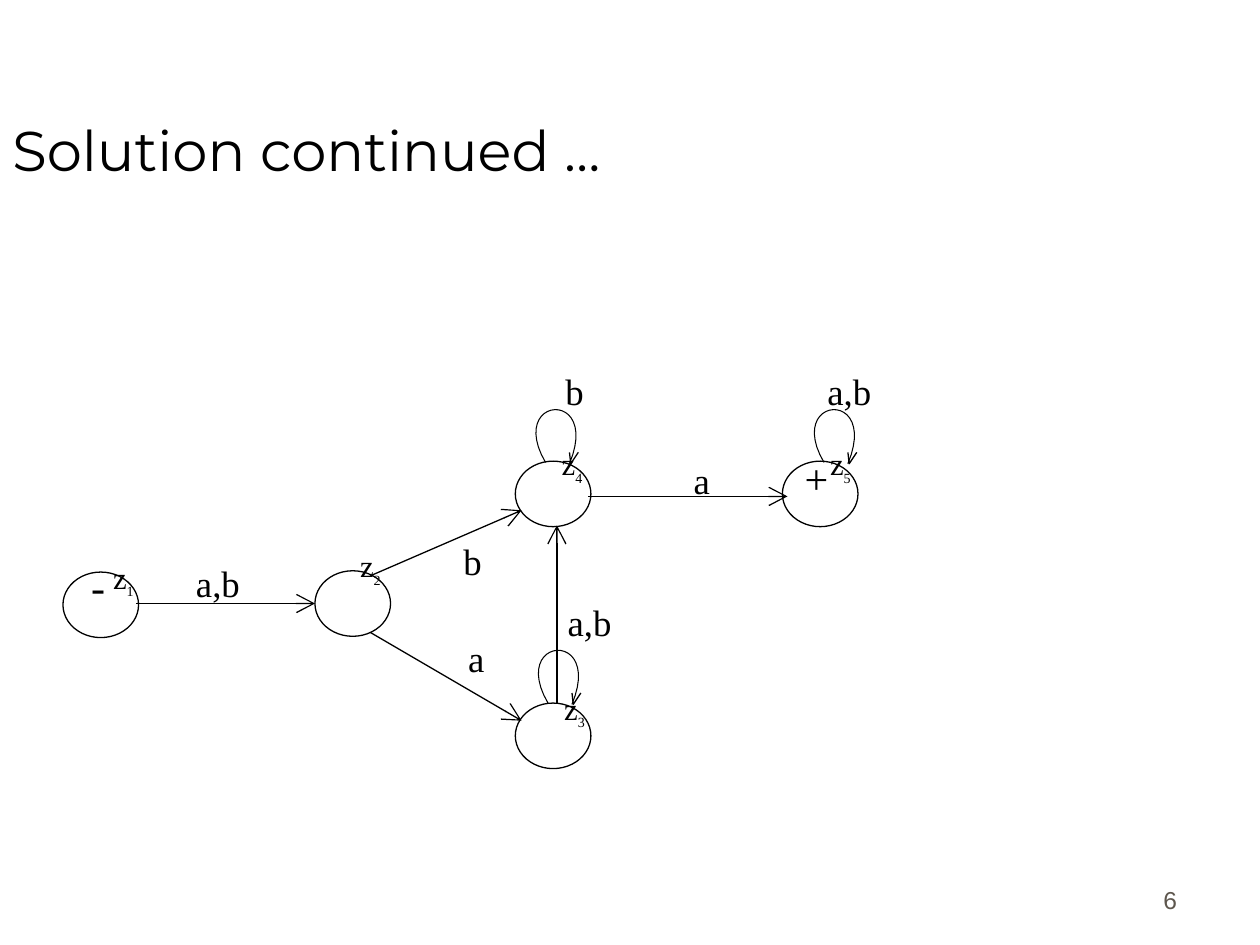
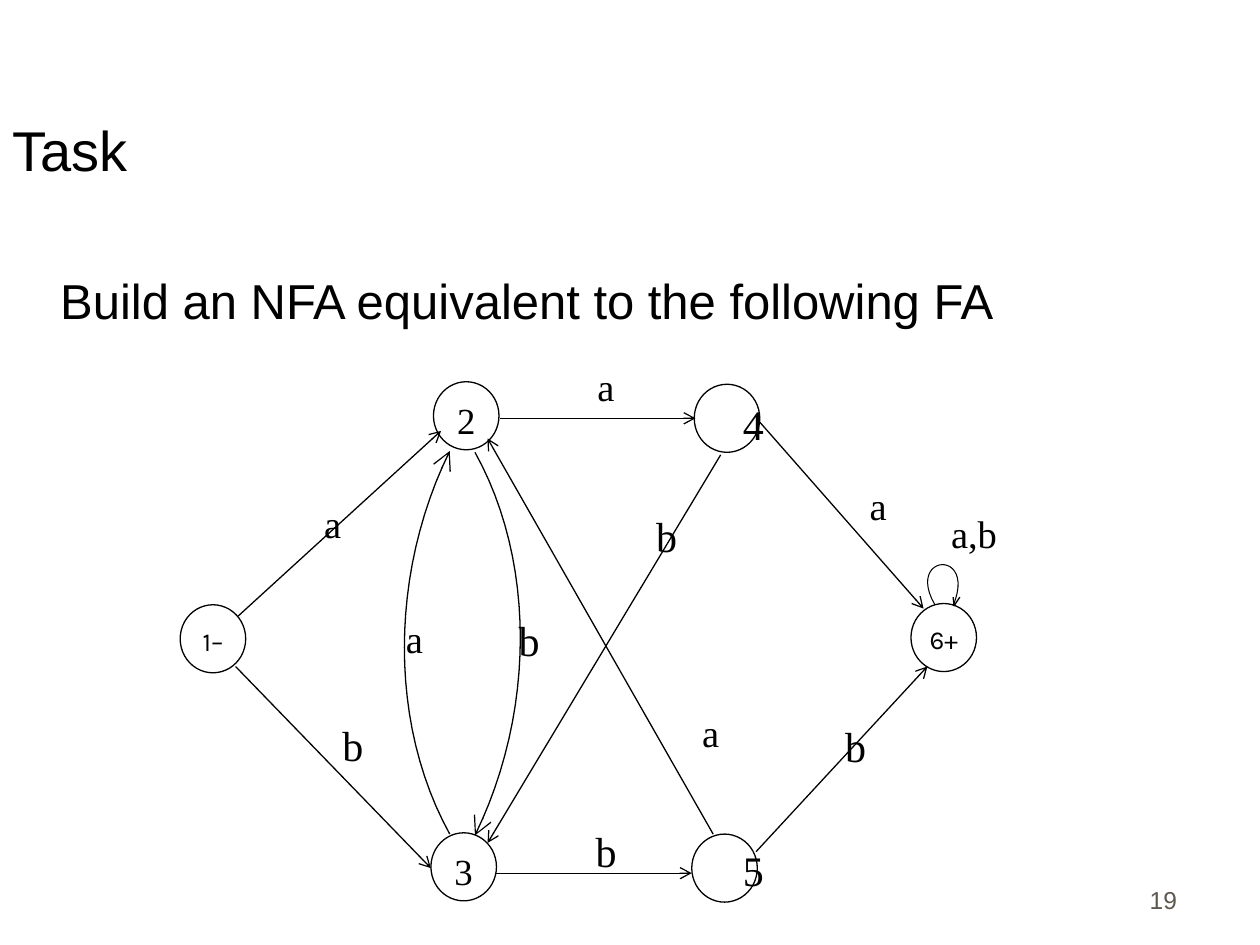
from lxml.etree import SubElement
from pptx import Presentation
from pptx.dml.color import RGBColor
from pptx.enum.shapes import MSO_CONNECTOR, MSO_SHAPE
from pptx.enum.text import MSO_ANCHOR, PP_ALIGN
from pptx.oxml.ns import qn
from pptx.util import Inches, Pt


def rgb(value):
    return RGBColor.from_string(value)


def bezier(start, control1, control2, end, steps=24):
    points = []
    for step in range(steps + 1):
        t = step / steps
        weights = ((1 - t) ** 3, 3 * t * (1 - t) ** 2, 3 * t**2 * (1 - t), t**3)
        points.append(tuple(
            sum(weight * value for weight, value in zip(weights, axis))
            for axis in zip(start, control1, control2, end)
        ))
    return points


class Deck:
    INK = "000000"
    PAPER = "FFFFFF"
    MUTED = "5E574E"
    SANS = "Arial"
    SERIF = "Times New Roman"

    def __init__(self):
        self.presentation = Presentation()
        self.presentation.slide_width = Inches(10)
        self.presentation.slide_height = Inches(7.5)
        self.slide = None

    def new_slide(self, title, number, title_font=SANS):
        self.slide = self.presentation.slides.add_slide(self.presentation.slide_layouts[6])
        self.slide.background.fill.solid()
        self.slide.background.fill.fore_color.rgb = rgb(self.PAPER)
        self.text(title, 0, 0.25, 8.5, 1.25, 32, title_font, anchor=MSO_ANCHOR.BOTTOM)
        self.text(number, 7.36, 6.81, 2.08, 0.5, 14, color=self.MUTED,
                  align=PP_ALIGN.RIGHT, anchor=MSO_ANCHOR.BOTTOM)

    def fill_text(self, frame, content, size, font, color, align, anchor):
        frame.word_wrap = True
        frame.vertical_anchor = anchor
        paragraph = frame.paragraphs[0]
        paragraph.text = content
        paragraph.alignment = align
        paragraph.font.size = Pt(size)
        paragraph.font.name = font
        paragraph.font.color.rgb = rgb(color)
        return paragraph

    def text(self, content, left, top, width, height, size, font=SANS, color=INK,
             align=PP_ALIGN.LEFT, anchor=MSO_ANCHOR.TOP):
        box = self.slide.shapes.add_textbox(
            Inches(left), Inches(top), Inches(width), Inches(height))
        return self.fill_text(box.text_frame, content, size, font, color, align, anchor)

    def label(self, content, center, top, size, font=SERIF):
        width = 0.73
        return self.text(content, center - width / 2, top, width, 0.51, size, font,
                         align=PP_ALIGN.CENTER)

    def state_name(self, index, left, top):
        paragraph = self.text("z", left, top, 0.8, 0.45, 17.6, self.SERIF,
                              align=PP_ALIGN.CENTER)
        paragraph.line_spacing = 0.8
        subscript = paragraph.add_run()
        subscript.text = index
        subscript.font.size = Pt(13.8)
        subscript.font._element.set("baseline", "-30000")

    def state(self, left, top, width, height, content=None):
        circle = self.slide.shapes.add_shape(
            MSO_SHAPE.OVAL, Inches(left), Inches(top), Inches(width), Inches(height))
        circle.shadow.inherit = False
        circle.fill.solid()
        circle.fill.fore_color.rgb = rgb(self.PAPER)
        self.stroke(circle)
        if content:
            self.fill_text(circle.text_frame, content, 21, self.SERIF, self.INK,
                           PP_ALIGN.CENTER, MSO_ANCHOR.TOP)

    def stroke(self, outline, width=0.75, head=None):
        outline.line.color.rgb = rgb(self.INK)
        outline.line.width = Pt(width)
        if head:
            SubElement(outline.line._get_or_add_ln(), qn("a:tailEnd"),
                       type="arrow", w=head, len=head)

    def edge(self, start, end, head="med"):
        arrow = self.slide.shapes.add_connector(
            MSO_CONNECTOR.STRAIGHT, *(Inches(value) for value in (*start, *end)))
        self.stroke(arrow, head=head)
        SubElement(arrow._element.spPr, qn("a:effectLst"))

    def curve(self, points, width=0.75, head=None):
        corners = [(Inches(x), Inches(y)) for x, y in points]
        builder = self.slide.shapes.build_freeform(*corners[0])
        builder.add_line_segments(corners[1:], close=False)
        arc = builder.convert_to_shape()
        arc.shadow.inherit = False
        arc.fill.background()
        self.stroke(arc, width, head)

    def loop(self, left, bottom, scale=1):
        def place(*offsets):
            return [(left + scale * x, bottom + scale * y) for x, y in offsets]

        self.curve(bezier(*place((0, 0), (-0.31, -0.53), (0.44, -0.59), (0.19, 0.01))), 0.6)
        self.curve(place((0.26, -0.08), (0.2, 0.01), (0.19, -0.08)))


def solution_slide(deck):
    deck.new_slide("Solution continued …", "6", "Montserrat")
    states = [
        ("1", 0.5, 4.54, 0.58, 4.42),
        ("2", 2.5, 4.53, 2.54, 4.33),
        ("3", 4.09, 5.58, 4.16, 5.46),
        ("4", 4.09, 3.66, 4.14, 3.52),
        ("5", 6.21, 3.66, 6.27, 3.52),
    ]
    for _, left, top, _, _ in states:
        deck.state(left, top, 0.6, 0.52)
    for start, end in [
        ((1.08, 4.79), (2.5, 4.79)),
        ((2.94, 4.57), (4.14, 4.05)),
        ((2.94, 5.02), (4.14, 5.72)),
        ((4.42, 5.58), (4.42, 4.17)),
        ((4.67, 3.94), (6.25, 3.94)),
    ]:
        deck.edge(start, end, "lg")
    for left, bottom in [(4.33, 3.67), (6.54, 3.67), (4.35, 5.58)]:
        deck.loop(left, bottom)
    for index, _, _, left, top in states:
        deck.state_name(index, left, top)
    for letters, center, top in [
        ("a,b", 1.73, 4.4),
        ("b", 3.75, 4.23),
        ("a", 3.78, 5),
        ("a,b", 4.68, 4.71),
        ("b", 4.56, 2.88),
        ("a", 5.57, 3.58),
        ("a,b", 6.74, 2.88),
    ]:
        deck.label(letters, center, top, 21)
    deck.label("-", 0.78, 4.4, 24)
    deck.label("+", 6.48, 3.54, 24)


def task_slide(deck):
    deck.new_slide("Task", "19")
    deck.text("Build an NFA equivalent to the following FA", 0.38, 2.1, 8.56, 0.6, 28)
    for left, top, name in [
        (1.43, 4.8, None),
        (3.44, 3.03, "2"),
        (3.42, 6.61, "3"),
        (5.51, 3.05, None),
        (5.49, 6.62, None),
        (7.23, 4.79, None),
    ]:
        deck.state(left, top, 0.52, 0.54, name)
    for start, end in [
        ((1.89, 4.89), (3.5, 3.42)),
        ((1.87, 5.29), (3.42, 6.89)),
        ((3.97, 3.32), (5.52, 3.32)),
        ((3.94, 6.93), (5.49, 6.93)),
        ((5.72, 3.61), (3.87, 6.69)),
        ((5.66, 6.62), (3.87, 3.48)),
        ((6.03, 3.35), (7.33, 4.83)),
        ((6, 6.76), (7.36, 5.29)),
    ]:
        deck.edge(start, end)
    deck.curve(bezier((3.77, 3.59), (4.25, 4.45), (4.25, 5.65), (3.77, 6.63)), head="lg")
    deck.curve(bezier((3.57, 6.62), (3.09, 5.75), (3.09, 4.56), (3.57, 3.58)), head="lg")
    deck.loop(7.42, 4.8, 0.76)
    for name, center, top in [("1–", 1.69, 4.94), ("6+", 7.49, 4.93)]:
        deck.label(name, center, top, 14.8, "Karla").line_spacing = 0.9
    for size, labels in {
        22: [("a", 2.64, 3.92), ("a", 4.81, 2.83), ("a", 6.97, 3.78),
             ("a,b", 7.73, 4), ("a", 3.29, 4.83), ("a", 5.64, 5.58)],
        24: [("b", 2.8, 5.66), ("b", 4.81, 6.5), ("b", 6.79, 5.67), ("b", 4.2, 4.83),
             ("b", 5.29, 4), ("4", 5.98, 3.11), ("5", 5.98, 6.65)],
    }.items():
        for letters, center, top in labels:
            deck.label(letters, center, top, size)


def main():
    deck = Deck()
    solution_slide(deck)
    task_slide(deck)
    deck.presentation.save("out.pptx")


if __name__ == "__main__":
    main()
